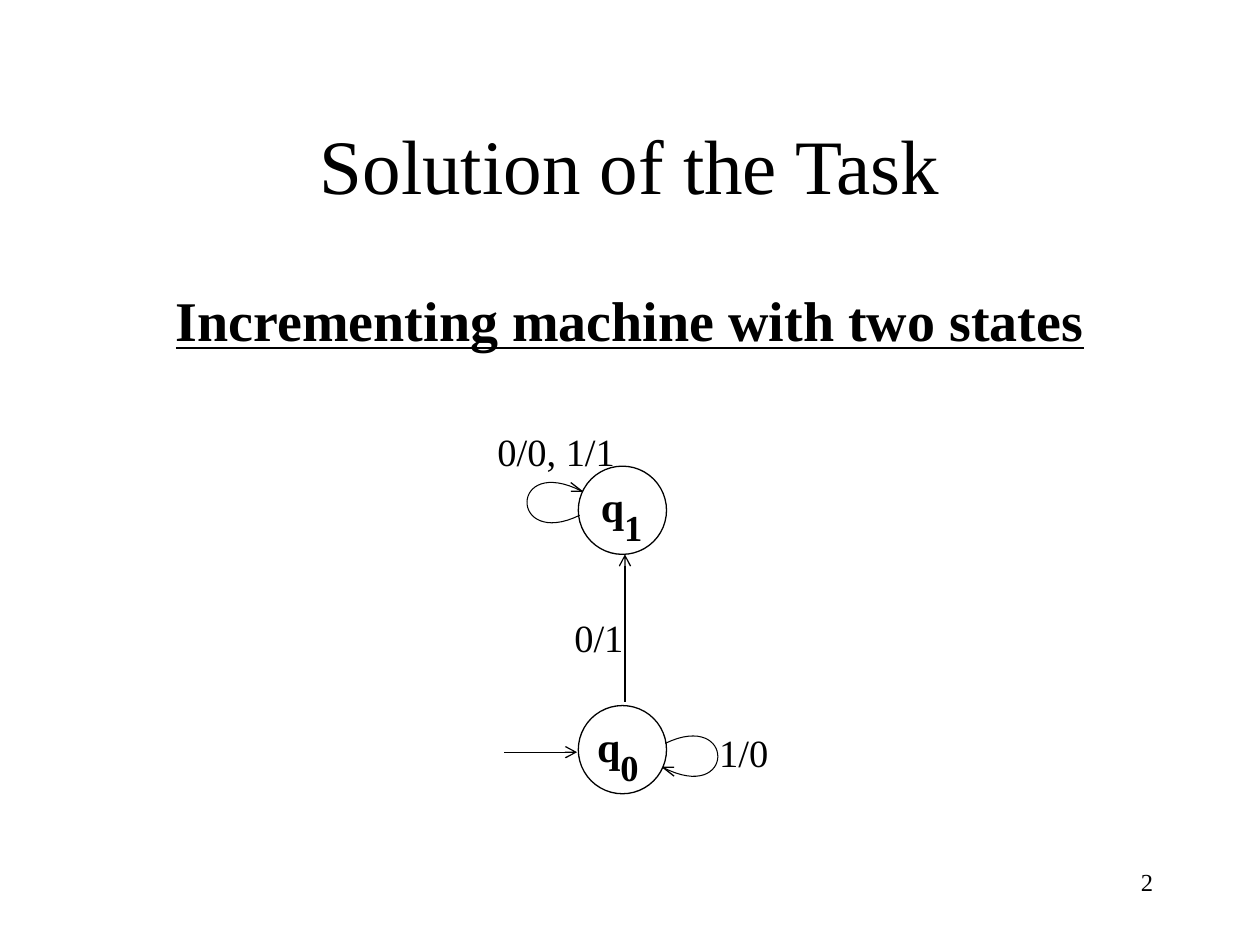
from dataclasses import dataclass

from lxml import etree
from pptx import Presentation
from pptx import util as u
from pptx.dml.color import RGBColor
from pptx.enum import shapes, text
from pptx.oxml.ns import qn

COLS, ROWS = 100, 75


@dataclass(frozen=True)
class Theme:
    font: str = "Times New Roman"
    ink: RGBColor = RGBColor(0, 0, 0)
    paper: RGBColor = RGBColor(255, 255, 255)
    title: int = 44
    head: int = 32
    state: int = 24
    sub: int = 36
    label: int = 22
    page: int = 14
    line: float = 0.75
    loop: float = 0.6


class Board:
    """Draws on one slide; every length is in grid columns and rows."""

    def __init__(self, deck, theme):
        self.theme = theme
        self.slide = deck.slides.add_slide(deck.slide_layouts[6])
        self.shapes = self.slide.shapes
        self.col = deck.slide_width / COLS
        self.row = deck.slide_height / ROWS

    def emu(self, *spots):
        """Turn column, row, column, row ... into whole EMU."""
        units = (self.col, self.row)
        return [u.Emu(round(v * units[i % 2])) for i, v in enumerate(spots)]

    def stroke(self, line, width):
        line.color.rgb = self.theme.ink
        line.width = u.Pt(width)

    def text(self, words, area, size, align="LEFT", middle=False, strong=False):
        frame = self.shapes.add_textbox(*self.emu(*area)).text_frame
        frame.word_wrap = True
        if middle:
            frame.vertical_anchor = text.MSO_ANCHOR.MIDDLE
        frame.text = words
        para = frame.paragraphs[0]
        para.alignment = text.PP_ALIGN[align]
        self.style(para.runs[0], size, strong)
        return para

    def style(self, run, size, strong=False):
        font = run.font
        font.name, font.size, font.bold = self.theme.font, u.Pt(size), strong
        font.color.rgb = self.theme.ink

    def state(self, sub, left, top, shift):
        """Draw a state circle; shift is the label's offset from its left."""
        ring = self.shapes.add_shape(
            shapes.MSO_SHAPE.OVAL, *self.emu(left, top, 7, 7))
        ring.shadow.inherit = False
        ring.fill.solid()
        ring.fill.fore_color.rgb = self.theme.paper
        self.stroke(ring.line, self.theme.line)
        area = (left + shift, top - 1, 9.6, 4.5)
        para = self.text("q", area, self.theme.state, strong=True)
        run = para.add_run()
        run.text = sub
        self.style(run, self.theme.sub, True)
        run.font._element.set("baseline", "-30000")

    def arrow(self, *ends):
        link = self.shapes.add_connector(
            shapes.MSO_CONNECTOR.STRAIGHT, *self.emu(*ends))
        self.stroke(link.line, self.theme.line)
        etree.SubElement(link.line._get_or_add_ln(), qn("a:tailEnd"), type="arrow")
        etree.SubElement(link._element.spPr, qn("a:effectLst"))

    def trace(self, spots, width):
        spots = [self.emu(*spot) for spot in spots]
        pen = self.shapes.build_freeform(*spots[0])
        pen.add_line_segments(spots[1:], close=False)
        shape = pen.convert_to_shape()
        shape.shadow.inherit = False
        shape.fill.background()
        self.stroke(shape.line, width)

    def loop(self, curve, barbs):
        self.trace(bezier(*curve), self.theme.loop)
        self.trace(barbs, self.theme.line)


def bezier(a, b, c, d, steps=32):
    """Points along a cubic curve."""
    def at(t):
        s = 1 - t
        return tuple(s**3 * p + 3 * s * s * t * q + 3 * s * t * t * r + t**3 * e
                     for p, q, r, e in zip(a, b, c, d))
    return [at(i / steps) for i in range(steps + 1)]


def turn(spots):
    """Half turn about the point midway between the two loops."""
    return [(98.8 - x, 99.9 - y) for x, y in spots]


def main():
    deck = Presentation()
    deck.slide_width, deck.slide_height = u.Inches(10), u.Inches(7.5)
    theme = Theme()
    board = Board(deck, theme)

    board.text("Solution of the Task", (7.5, 6.7, 85, 12.5), theme.title,
               "CENTER", middle=True)
    head = board.text("Incrementing machine with two states",
                      (7.5, 22.2, 85, 45), theme.head, "CENTER", strong=True)
    head.runs[0].font.underline = True

    board.state("0", 45.9, 56, 0.5)
    board.state("1", 45.9, 37, 0.8)

    curve = [(52.8, 59), (58.4, 56.3), (58.4, 63.9), (52.6, 60.9)]
    barbs = [(53.5, 61.6), (52.6, 60.9), (53.5, 60.9)]
    board.loop(curve, barbs)
    board.loop(turn(curve), turn(barbs))

    board.arrow(49.6, 55.7, 49.6, 44)
    board.arrow(40, 59.7, 45.8, 59.7)

    for words, left, top, width in (("0/1", 44.6, 48.2, 10.1),
                                    ("1/0", 56.1, 57.4, 10.1),
                                    ("0/0, 1/1", 38.5, 33.5, 11.7)):
        board.text(words, (left, top, width, 4.1), theme.label)

    board.text("2", (71.7, 68.3, 20.8, 5), theme.page, "RIGHT")
    deck.save("out.pptx")


if __name__ == "__main__":
    main()
